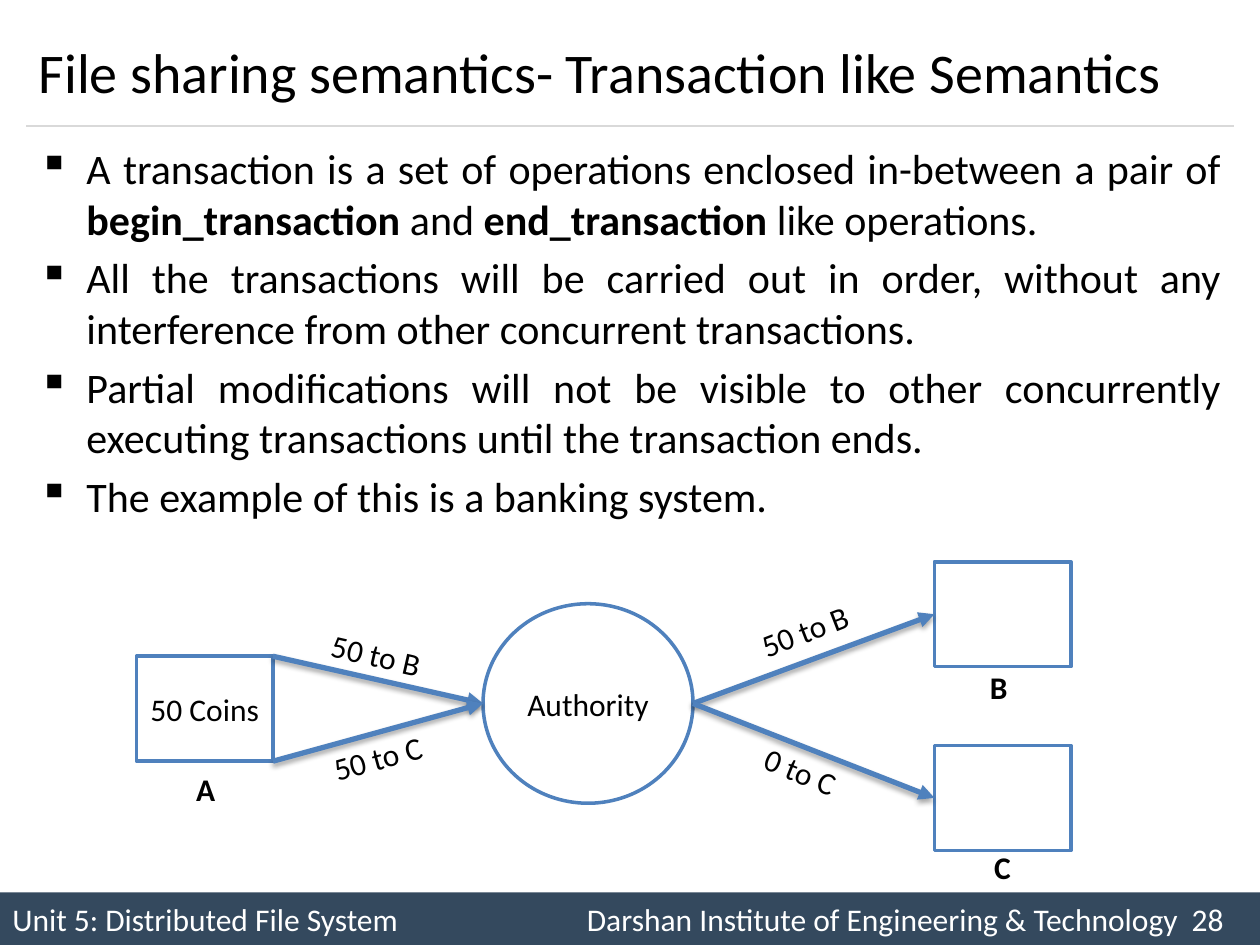
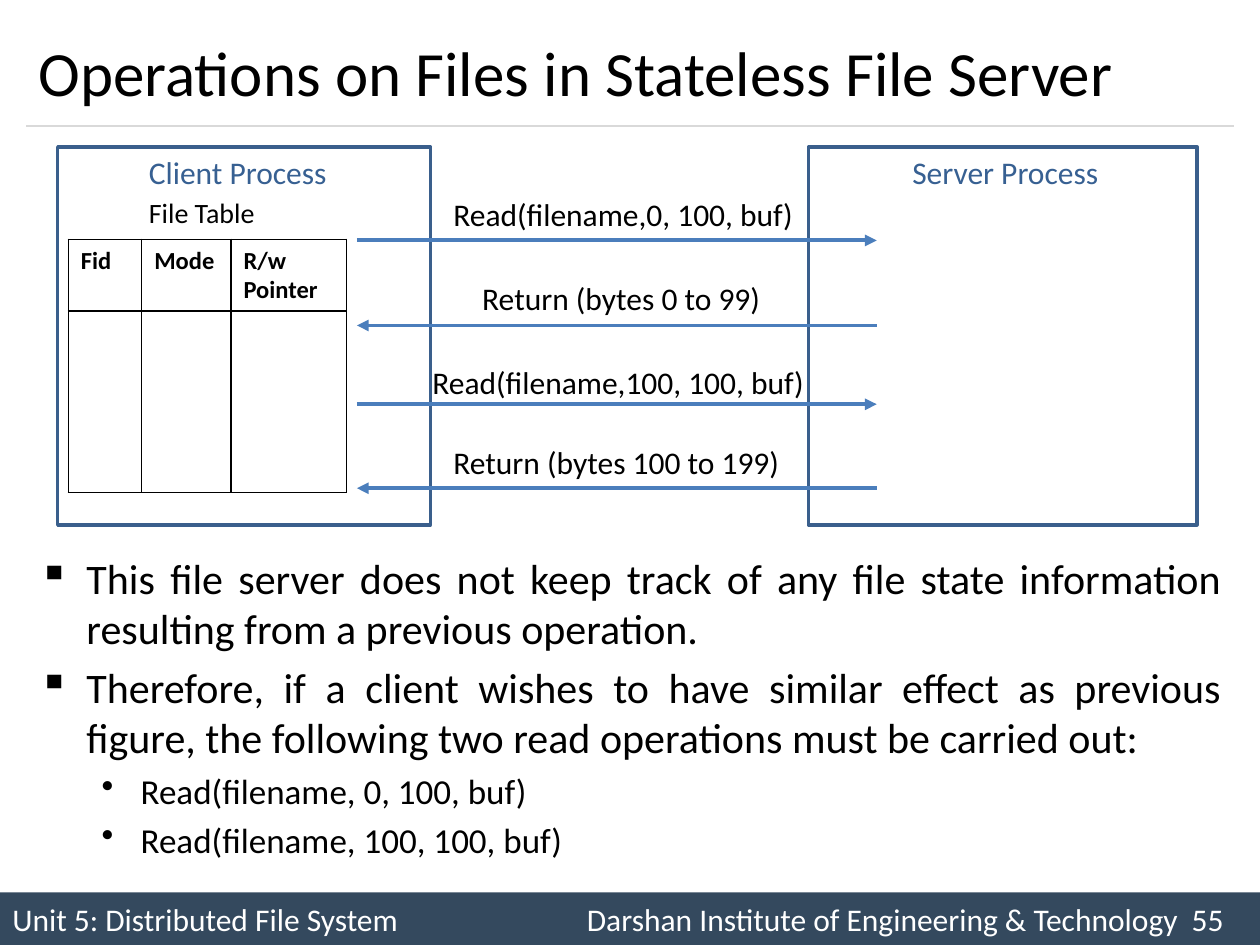
from dataclasses import dataclass

from lxml.etree import SubElement
from pptx import Presentation
from pptx.dml.color import RGBColor
from pptx.enum.shapes import MSO_CONNECTOR as Connector, MSO_SHAPE as Preset
from pptx.enum.text import MSO_ANCHOR as Anchor, PP_ALIGN as Align
from pptx.oxml.ns import qn
from pptx.util import Inches, Pt

COLORS = {
    "black": "000000", "white": "FFFFFF", "band": "34495E", "rule": "D9D9D9",
    "flow": "4F81BD", "process": "3A5F8C", "heading": "376092", "message": "4B7EBC",
}
FONT = "Calibri"

# Slide grid
COLUMNS, ROWS = 240, 180
WIDTH, HEIGHT = Inches(10), Inches(7.5)
MARGIN, CONTENT_COLUMNS = 5, 230
LABEL_ROWS = 9.6


def col(count: float) -> int:
    return round(WIDTH * count / COLUMNS)


def row(count: float) -> int:
    return round(HEIGHT * count / ROWS)


@dataclass(frozen=True)
class Area:
    """A rectangle in grid columns and rows."""
    left: float
    top: float
    width: float
    height: float

    @property
    def right(self) -> float:
        return self.left + self.width

    @property
    def bottom(self) -> float:
        return self.top + self.height

    @property
    def middle(self) -> float:
        return self.top + self.height / 2

    def lengths(self) -> tuple[int, int, int, int]:
        return col(self.left), row(self.top), col(self.width), row(self.height)


@dataclass(frozen=True)
class Node:
    area: Area
    color: str
    text: str = ""
    preset: Preset = Preset.RECTANGLE
    fill: str | None = None


@dataclass(frozen=True)
class Label:
    text: str
    left: float
    top: float
    width: float
    size: float = 18
    bold: bool = False
    rotation: float = 0
    color: str = "black"
    wrap: bool = False


@dataclass(frozen=True)
class Arrow:
    start: tuple[float, float]
    end: tuple[float, float]
    color: str
    weight: float
    shadow: bool = False


@dataclass(frozen=True)
class Bullet:
    """Body text; parts between ** marks are bold."""
    text: str
    level: int = 0


@dataclass(frozen=True)
class Message:
    label: Label
    row: float
    is_reply: bool = False


# Bullet formats by level: character, size, left margin, hanging indent
BULLET_LEVELS = (("▪", 24, 0.38, 0.38), ("•", 20, 0.81, 0.31))


def rgb(name: str) -> RGBColor:
    return RGBColor.from_string(COLORS[name])


def set_format(target, values: dict) -> None:
    for name, value in values.items():
        setattr(target, name, value)


def add_run(paragraph, text: str, size: float, color: str = "black", bold: bool = False) -> None:
    run = paragraph.add_run()
    run.text = text
    set_format(run.font, {"name": FONT, "size": Pt(size), "bold": bold})
    run.font.color.rgb = rgb(color)


def add_text_box(slide, area: Area, wrap: bool = True, anchor: Anchor = Anchor.TOP):
    box = slide.shapes.add_textbox(*area.lengths())
    set_format(box.text_frame, {"word_wrap": wrap, "vertical_anchor": anchor})
    return box


def add_label(slide, label: Label) -> None:
    area = Area(label.left, label.top, label.width, LABEL_ROWS)
    box = add_text_box(slide, area, label.wrap)
    box.rotation = label.rotation
    add_run(box.text_frame.paragraphs[0], label.text, label.size, label.color, label.bold)


def add_node(slide, node: Node) -> None:
    shape = slide.shapes.add_shape(node.preset, *node.area.lengths())
    shape.shadow.inherit = False
    if node.fill:
        shape.fill.solid()
        shape.fill.fore_color.rgb = rgb(node.fill)
    else:
        shape.fill.background()
    shape.line.width = Pt(2)
    shape.line.color.rgb = rgb(node.color)
    if node.text:
        shape.text_frame.vertical_anchor = Anchor.MIDDLE
        paragraph = shape.text_frame.paragraphs[0]
        paragraph.alignment = Align.CENTER
        add_run(paragraph, node.text, 18)


def add_line(slide, start: tuple, end: tuple, color: str, weight: float):
    line = slide.shapes.add_connector(
        Connector.STRAIGHT, col(start[0]), row(start[1]), col(end[0]), row(end[1]))
    line.line.width = Pt(weight)
    line.line.color.rgb = rgb(color)
    effects = SubElement(line._element.spPr, qn("a:effectLst"))
    return line, effects


def add_arrow(slide, arrow: Arrow) -> None:
    line, effects = add_line(slide, arrow.start, arrow.end, arrow.color, arrow.weight)
    SubElement(line._element.spPr.find(qn("a:ln")), qn("a:tailEnd"), type="triangle")
    if arrow.shadow:
        shadow = SubElement(effects, qn("a:outerShdw"), blurRad=str(Pt(3.1)),
                            dist=str(Pt(1.8)), dir="5400000", rotWithShape="0")
        color = SubElement(shadow, qn("a:srgbClr"), val=COLORS["black"])
        SubElement(color, qn("a:alpha"), val="35000")


def add_body(slide, area: Area, bullets: list[Bullet]) -> None:
    frame = add_text_box(slide, area).text_frame
    for index, bullet in enumerate(bullets):
        paragraph = frame.add_paragraph() if index else frame.paragraphs[0]
        character, size, margin, hanging = BULLET_LEVELS[bullet.level]
        set_format(paragraph, {"alignment": Align.JUSTIFY, "level": bullet.level,
                               "space_before": Pt(size * 0.2 if index else 0)})
        properties = paragraph._p.get_or_add_pPr()
        properties.set("marL", str(Inches(margin)))
        properties.set("indent", str(-Inches(hanging)))
        SubElement(properties, qn("a:buChar"), char=character)
        for part, text in enumerate(bullet.text.split("**")):
            add_run(paragraph, text, size, bold=part % 2 == 1)


def add_base_slide(presentation, title: str, title_size: float, number: int):
    """Blank slide with the footer band, title rule and title."""
    slide = presentation.slides.add_slide(presentation.slide_layouts[6])
    slide.background.fill.solid()
    slide.background.fill.fore_color.rgb = rgb("white")

    # Footer band
    band = slide.shapes.add_shape(Preset.RECTANGLE, *Area(0, 170, COLUMNS, 10).lengths())
    band.shadow.inherit = False
    band.fill.solid()
    band.fill.fore_color.rgb = rgb("band")
    band.line.fill.background()
    band.text_frame.vertical_anchor = Anchor.MIDDLE
    paragraph = band.text_frame.paragraphs[0]
    paragraph.alignment = Align.LEFT
    tabs = SubElement(paragraph._p.get_or_add_pPr(), qn("a:tabLst"))
    for stop in (4.56, 9.36):
        SubElement(tabs, qn("a:tab"), pos=str(Inches(stop)), algn="l")
    footer = ("Unit 5: Distributed File System",
              "Darshan Institute of Engineering & Technology", str(number))
    add_run(paragraph, "\t".join(footer), 18, "white")

    # Title and rule
    add_line(slide, (MARGIN, 24), (MARGIN + CONTENT_COLUMNS, 24), "rule", 0.75)
    box = add_text_box(slide, Area(MARGIN, 3, CONTENT_COLUMNS, 21), anchor=Anchor.MIDDLE)
    add_run(box.text_frame.paragraphs[0], title, title_size)
    return slide


def build_transaction_slide(presentation) -> None:
    slide = add_base_slide(
        presentation, "File sharing semantics- Transaction like Semantics", 32, 28)
    add_body(slide, Area(MARGIN, 26, CONTENT_COLUMNS, 140), [
        Bullet("A transaction is a set of operations enclosed in-between a pair of "
               "**begin_transaction **and **end_transaction **like operations."),
        Bullet("All the transactions will be carried out in order, without any "
               "interference from other concurrent transactions."),
        Bullet("Partial modifications will not be visible to other concurrently "
               "executing transactions until the transaction ends."),
        Bullet("The example of this is a banking system."),
    ])

    # Accounts and authority
    payer = Area(26, 125, 26, 20)
    authority = Area(92, 115, 40, 38)
    payees = [Area(178, top, 26, 20) for top in (107, 142)]
    add_node(slide, Node(payer, "flow", "50 Coins", fill="white"))
    add_node(slide, Node(authority, "flow", "Authority", Preset.OVAL, "white"))
    for payee in payees:
        add_node(slide, Node(payee, "flow", fill="white"))

    # Transfers
    entry = (authority.left, authority.middle)
    leaving = (authority.right, authority.middle)
    routes = [((payer.right, edge), entry) for edge in (payer.top, payer.bottom)]
    routes += [(leaving, (payee.left, payee.middle)) for payee in payees]
    for start, end in routes:
        add_arrow(slide, Arrow(start, end, "flow", 3, shadow=True))

    for text, left, top, rotation in (
        ("50 to B", 60.7, 120, 12.8), ("50 to C", 61, 139.5, 344.6),
        ("50 to B", 142.3, 115.2, 338.8), ("0 to C", 143, 142.8, 22),
    ):
        add_label(slide, Label(text, left, top, 22.5, rotation=rotation, wrap=True))
    for name, left, top in (("A", 35, 145.5), ("B", 186.2, 126), ("C", 187, 160.3)):
        add_label(slide, Label(name, left, top, 9.4, bold=True, wrap=True))


def add_file_table(slide) -> None:
    column_widths, row_heights = (14, 17, 22), (13.6, 34.6)
    headings = ("Fid", "Mode", "R/w\nPointer")
    area = Area(13, 45.6, sum(column_widths), sum(row_heights))
    table = slide.shapes.add_table(2, len(headings), *area.lengths()).table
    for column, width in zip(table.columns, column_widths):
        column.width = col(width)
    for table_row, height in zip(table.rows, row_heights):
        table_row.height = row(height)
    for cell in table.iter_cells():
        properties = cell._tc.get_or_add_tcPr()
        for side in ("lnL", "lnR", "lnT", "lnB"):
            border = SubElement(properties, qn(f"a:{side}"), w=str(Pt(1)))
            fill = SubElement(border, qn("a:solidFill"))
            SubElement(fill, qn("a:srgbClr"), val=COLORS["black"])
        cell.fill.background()
    for index, heading in enumerate(headings):
        frame = table.cell(0, index).text_frame
        for line, text in enumerate(heading.split("\n")):
            paragraph = frame.add_paragraph() if line else frame.paragraphs[0]
            add_run(paragraph, text, 14, bold=True)


def build_stateless_slide(presentation) -> None:
    slide = add_base_slide(
        presentation, "Operations on Files in Stateless File Server", 36, 55)
    add_body(slide, Area(MARGIN, 104, CONTENT_COLUMNS, 62), [
        Bullet("This file server does not keep track of any file state information "
               "resulting from a previous operation."),
        Bullet("Therefore, if a client wishes to have similar effect as previous figure, "
               "the following two read operations must be carried out:"),
        Bullet("Read(filename, 0, 100, buf)", 1),
        Bullet("Read(filename, 100, 100, buf)", 1),
    ])

    # Client and server
    for left, width in ((11, 71), (154, 74)):
        add_node(slide, Node(Area(left, 28, width, 72), "process"))
    add_label(slide, Label("Client Process", 26, 28, 39, color="heading"))
    add_label(slide, Label("Server Process", 171.4, 28, 40.6, color="heading"))
    add_label(slide, Label("File Table", 26, 36, 25.2, size=16))
    add_file_table(slide)

    # Requests and replies
    client_end, server_end = 68, 167
    for message in (
        Message(Label("Read(filename,0, 100, buf)", 84, 36, 70.3), 45.8),
        Message(Label("Return (bytes 0 to 99)", 89.5, 52, 58.3), 62, True),
        Message(Label("Read(filename,100, 100, buf)", 80, 68, 76.6), 77),
        Message(Label("Return (bytes 100 to 199)", 84, 83.3, 67.7), 93, True),
    ):
        ends = [(client_end, message.row), (server_end, message.row)]
        start, end = reversed(ends) if message.is_reply else ends
        add_arrow(slide, Arrow(start, end, "message", 2.25))
        add_label(slide, message.label)


def main() -> None:
    presentation = Presentation()
    set_format(presentation, {"slide_width": WIDTH, "slide_height": HEIGHT})
    build_transaction_slide(presentation)
    build_stateless_slide(presentation)
    presentation.save("out.pptx")


if __name__ == "__main__":
    main()
